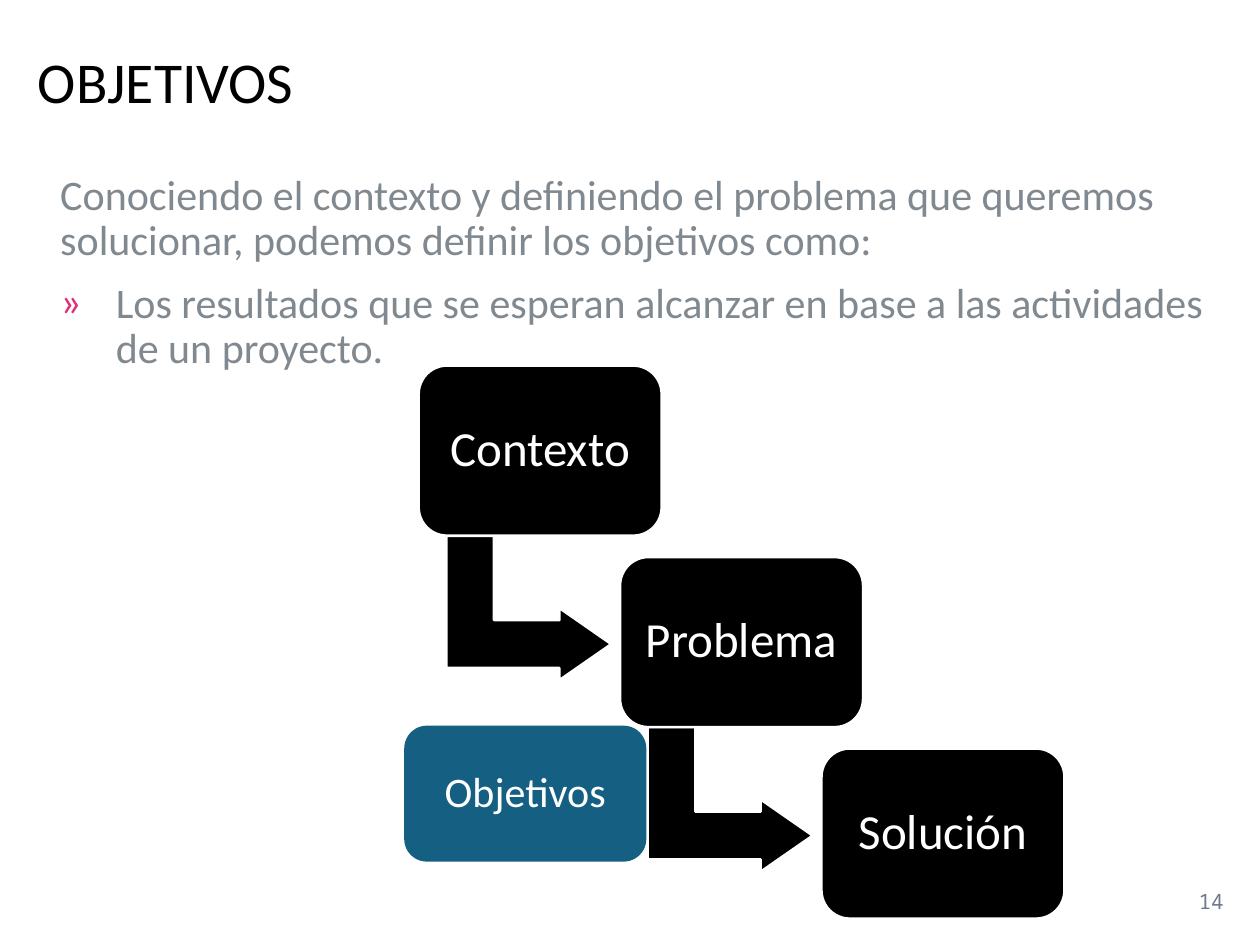
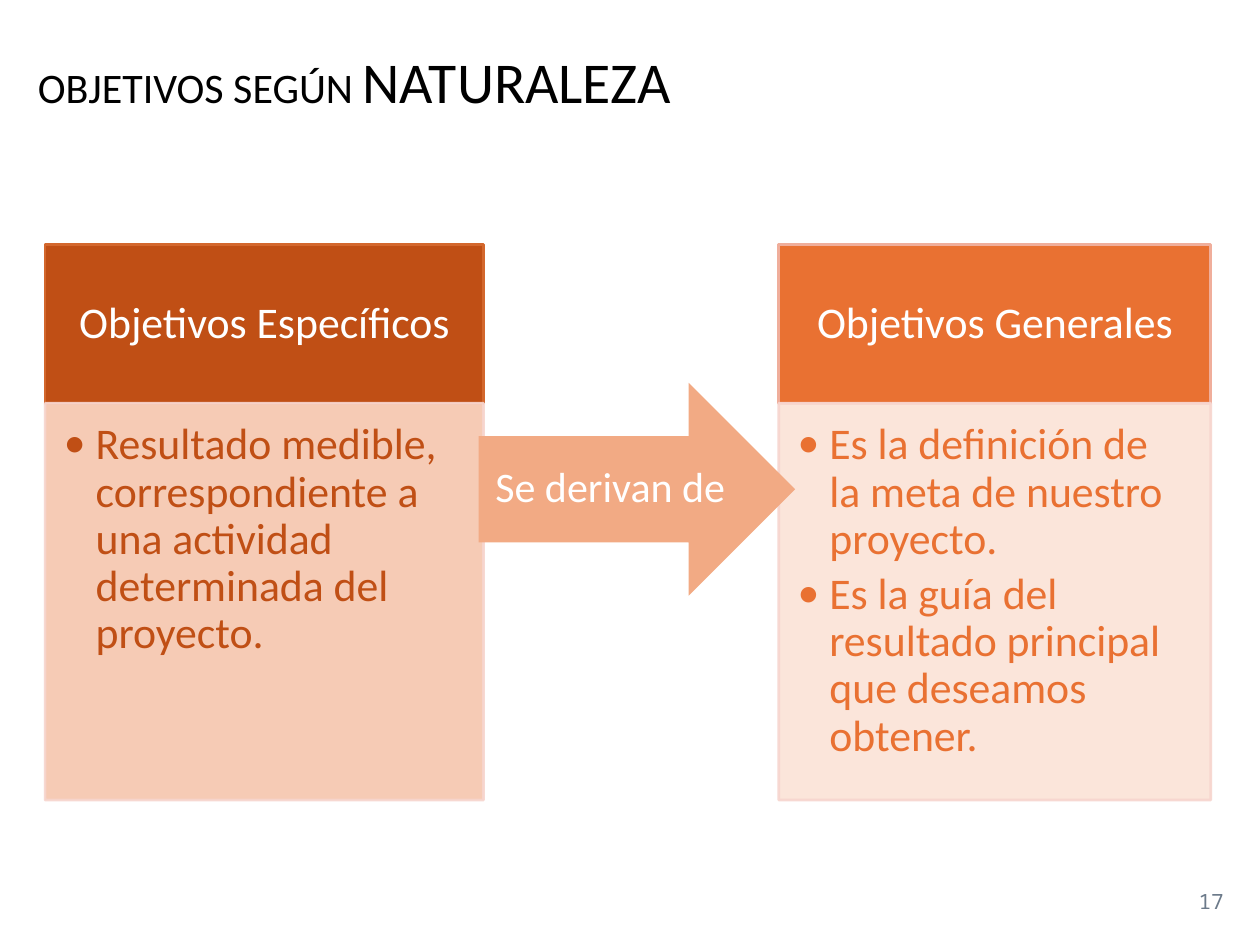
from lxml import etree
from pptx import Presentation
from pptx.dml.color import RGBColor
from pptx.enum.shapes import MSO_SHAPE as SHAPE
from pptx.enum.text import MSO_ANCHOR as ANCHOR, MSO_AUTO_SIZE as AUTO, PP_ALIGN as ALIGN
from pptx.oxml.ns import qn
from pptx.util import Cm, Pt

# Colours
BLACK = RGBColor(0x00, 0x00, 0x00)
WHITE = RGBColor(0xFF, 0xFF, 0xFF)
GREY = RGBColor(0x81, 0x89, 0x90)
SLATE = RGBColor(0x6C, 0x7A, 0x8A)
PINK = RGBColor(0xDE, 0x30, 0x75)
BLUE = RGBColor(0x15, 0x60, 0x82)
RUST = RGBColor(0xC0, 0x4F, 0x15)
RUST_EDGE = RGBColor(0xD3, 0x67, 0x2D)
RUST_PALE = RGBColor(0xF6, 0xC6, 0xAD)
ORANGE = RGBColor(0xE9, 0x71, 0x32)
ORANGE_EDGE = RGBColor(0xF0, 0xAE, 0x9B)
ORANGE_PALE = RGBColor(0xFB, 0xE3, 0xD6)
PEACH = RGBColor(0xF2, 0xAA, 0x84)
PANEL_EDGE = RGBColor(0xF7, 0xD5, 0xCE)

# Shared formats
TITLE_BOX = Cm(0.51), Cm(0.58), Cm(23.44), Cm(2.26)
NUMBER_BOX = Cm(19.2), Cm(17.65), Cm(5.72), Cm(1.02)
TIGHT = {"line_spacing": 0.9, "space_before": Pt(0)}
LEFT = {**TIGHT, "alignment": ALIGN.LEFT}
CENTRED = {**TIGHT, "alignment": ALIGN.CENTER}
LISTED = {**LEFT, "space_after": Pt(4.5)}


def add_text(p, text, size, color, layout, bullet=None, face="Calibri"):
    """Add a run; bullet is (character, colour, margin, indent)."""
    if bullet:
        char, tint, margin, indent = bullet
        pPr = p._p.get_or_add_pPr()
        pPr.set("marL", str(margin))
        pPr.set("indent", str(indent))
        if char:
            clr = etree.SubElement(pPr, qn("a:buClr"))
            etree.SubElement(clr, qn("a:srgbClr"), val=str(tint))
            etree.SubElement(pPr, qn("a:buFont"), typeface="Calibri")
            etree.SubElement(pPr, qn("a:buChar"), char=char)
        else:
            etree.SubElement(pPr, qn("a:buNone"))
    for name, value in layout.items():
        setattr(p, name, value)
    r = p.add_run()
    r.text = text
    for name, value in {"size": Pt(size), "name": face}.items():
        setattr(r.font, name, value)
    r.font.color.rgb = color


def add_block(s, kind, box, fill, edge=None, text=None, size=24):
    sp = s.shapes.add_shape(kind, *box)
    sp.shadow.inherit = False
    sp.fill.solid()
    sp.fill.fore_color.rgb = fill
    if edge is None:
        sp.line.fill.background()
    else:
        sp.line.color.rgb = edge
        sp.line.width = Pt(1.5)
    if text:
        sp.text_frame.vertical_anchor = ANCHOR.MIDDLE
        add_text(sp.text_frame.paragraphs[0], text, size, WHITE, CENTRED)
    return sp


prs = Presentation()
prs.slide_width, prs.slide_height = Cm(25.4), Cm(19.05)

# Slides with title and number
pages = [
    (1, [("OBJETIVOS", 33)], "14"),
    (5, [("OBJETIVOS SEGÚN ", 24), ("NATURALEZA", 33)], "17"),
]
slides = []
for layout, title, number in pages:
    s = prs.slides.add_slide(prs.slide_layouts[layout])
    sp = s.shapes.title
    sp.left, sp.top, sp.width, sp.height = TITLE_BOX
    tf = sp.text_frame
    tf.auto_size, tf.vertical_anchor = AUTO.NONE, ANCHOR.MIDDLE
    for text, size in title:
        add_text(tf.paragraphs[0], text, size, BLACK, LEFT)
    tf = s.shapes.add_textbox(*NUMBER_BOX).text_frame
    tf.word_wrap, tf.vertical_anchor = True, ANCHOR.MIDDLE
    add_text(tf.paragraphs[0], number, 12, SLATE, {"alignment": ALIGN.RIGHT},
             face="Noto Sans Mono")
    slides.append(s)
goals, kinds = slides

# Goals: introduction
sp = goals.placeholders[1]
sp.left, sp.top, sp.width, sp.height = Cm(0.81), Cm(3.38), Cm(23.77), Cm(4.9)
tf = sp.text_frame
tf.auto_size = AUTO.NONE
add_text(tf.paragraphs[0],
         "Conociendo el contexto y definiendo el problema que queremos "
         "solucionar, podemos definir los objetivos como:",
         24, GREY, LEFT, (None, None, Cm(0.15), 0))
add_text(tf.add_paragraph(),
         "Los resultados que se esperan alcanzar en base a las actividades de un proyecto.",
         24, GREY, {**LEFT, "space_before": Pt(10)}, ("»", PINK, Cm(1.27), Cm(-1.12)))

# Goals: descending steps, an arrow after each but the last
steps = ["Contexto", "Problema", "Solución"]
for i, step in enumerate(steps):
    x, y = Cm(8.44 + 4.06 * i), Cm(7.37 + 3.86 * i)
    if i < len(steps) - 1:
        sp = add_block(goals, SHAPE.BENT_UP_ARROW,
                       (x + Cm(0.76), y + Cm(3.22), Cm(2.92), Cm(3.33)), BLACK, WHITE)
        sp.rotation = 90
        for k, value in enumerate((0.33, 0.25, 0.36)):
            sp.adjustments[k] = value
    add_block(goals, SHAPE.ROUNDED_RECTANGLE, (x, y, Cm(4.9), Cm(3.43)),
              BLACK, WHITE, step, 28)
add_block(goals, SHAPE.ROUNDED_RECTANGLE, (Cm(8.15), Cm(14.63), Cm(4.88), Cm(2.74)),
          BLUE, text="Objetivos")

# Kinds: heading over a translucent panel
columns = [
    ("Objetivos Específicos", 0.91, 8.84, RUST, RUST_EDGE, RUST_PALE,
     ["Resultado medible, correspondiente a una actividad determinada del proyecto."]),
    ("Objetivos Generales", 15.7, 8.71, ORANGE, ORANGE_EDGE, ORANGE_PALE,
     ["Es la definición de la meta de nuestro proyecto.",
      "Es la guía del resultado principal que deseamos obtener."]),
]
for heading, left, width, color, edge, pale, items in columns:
    x, w = Cm(left), Cm(width)
    add_block(kinds, SHAPE.RECTANGLE, (x, Cm(4.93), w, Cm(3.2)), color, edge, heading, 25)
    sp = add_block(kinds, SHAPE.RECTANGLE, (x, Cm(8.13), w, Cm(8)), pale, PANEL_EDGE)
    for clr in sp._element.spPr.iter(qn("a:srgbClr")):
        etree.SubElement(clr, qn("a:alpha"), val="90000")
    tf = sp.text_frame
    margins = {"left": 0.38, "top": 0.38, "right": 0.48, "bottom": 0.56}
    for side, value in margins.items():
        setattr(tf, f"margin_{side}", Cm(value))
    tf.vertical_anchor = ANCHOR.TOP
    for i, item in enumerate(items):
        p = tf.add_paragraph() if i else tf.paragraphs[0]
        add_text(p, item, 25, color, LISTED, ("•", color, Cm(0.64), Cm(-0.64)))

# Kinds: relation arrow
add_block(kinds, SHAPE.RIGHT_ARROW, (Cm(9.65), Cm(7.72), Cm(6.38), Cm(4.29)),
          PEACH, text="Se derivan de")

prs.save("out.pptx")
